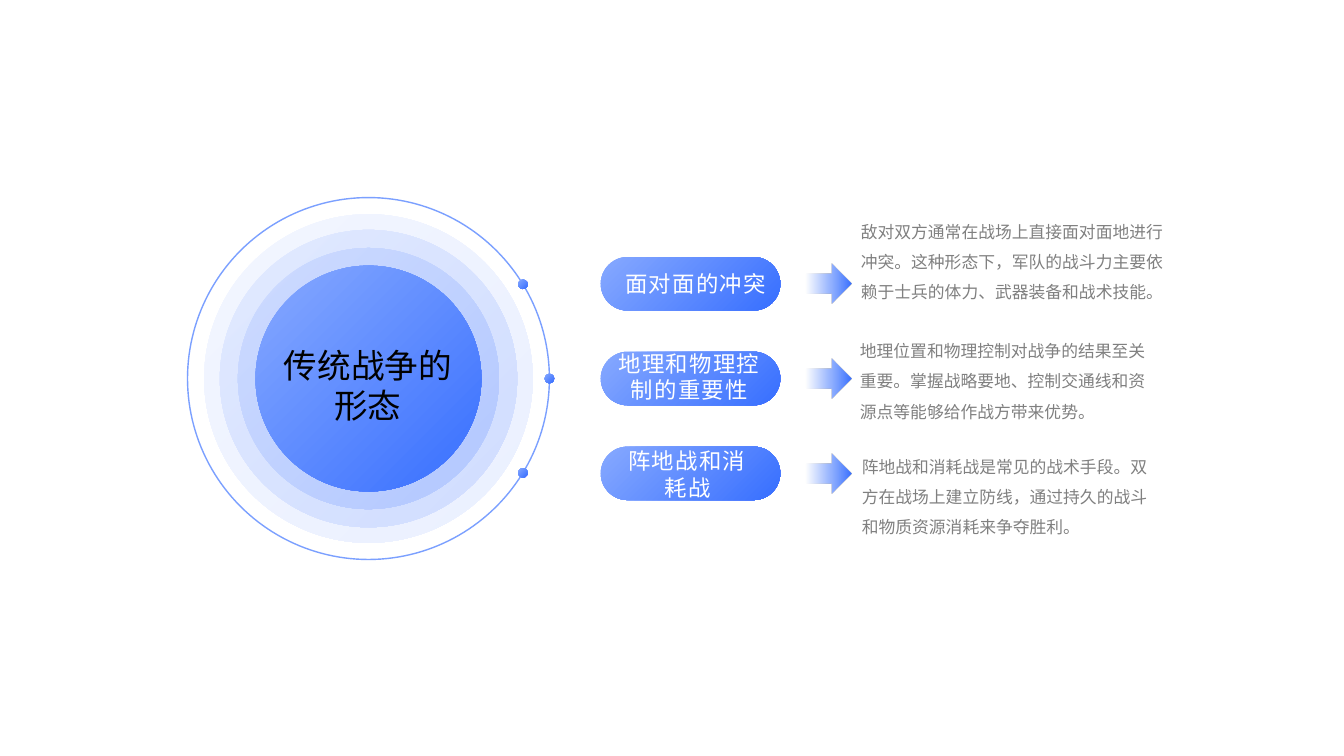
import math

from lxml import etree
from pptx import Presentation
from pptx.dml.color import RGBColor
from pptx.enum import shapes, text
from pptx.oxml import ns
from pptx.util import Pt

LIGHT, DEEP, WHITE, GREY, BLACK = "87A9FF", "376FFF", "FFFFFF", "808080", "000000"

# text and its box: left, top, width, height
TOPIC = ("传统战争的形态", (185, 242.6, 155.5, 94.3))
FORMS = [
    (("面对面的冲突", (430.6, 189.4, 132.5, 46)),
     ("敌对双方通常在战场上直接面对面地进行冲突。这种形态下，军队的战斗力主要依赖于士兵的体力、武器装备和战术技能。",
      (614.9, 151.2, 216.7, 91.4))),
    (("地理和物理控制的重要性", (428.4, 246.2, 128.2, 72.7)),
     ("地理位置和物理控制对战争的结果至关重要。掌握战略要地、控制交通线和资源点等能够给作战方带来优势。",
      (614.2, 236.2, 209.5, 65.5))),
    (("阵地战和消耗战", (436.3, 316.1, 109.4, 44.6)),
     ("阵地战和消耗战是常见的战术手段。双方在战场上建立防线，通过持久的战斗和物质资源消耗来争夺胜利。",
      (615.6, 319, 209.5, 65.5))),
]

CENTRE_X, CENTRE_Y = 263.2, 270.4
ORBIT = 258.5
DISCS = [(234.7, 10), (212.4, 15), (186.5, 20), (161.3, 100)]  # diameter, opacity
DOT, DOT_ANGLES = 6.8, (-31.4, 0, 31.4)
ROW_PITCH = 67.7
PILL_X, PILL_W, PILL_H = 493.2, 128.2, 38.2
ARROW_X, ARROW_W, ARROW_H = 591.5, 33.8, 28.8
ARROW_STOPS = [(3, LIGHT, 0), (50, LIGHT, 80), (100, DEEP, 100)]


def rgb(code):
    return RGBColor.from_string(code)


def set_alpha(colour, percent):
    etree.SubElement(colour, ns.qn("a:alpha"), val=str(percent * 1000))


def fill_gradient(shape, stops, angle):
    """Stops are (position %, colour, opacity %); the angle runs clockwise."""
    shape.fill.gradient()
    shape.fill.gradient_angle = (360 - angle) % 360
    stop_list = shape.element.spPr.find(".//" + ns.qn("a:gsLst"))
    for old in list(stop_list):
        stop_list.remove(old)
    for position, code, opacity in stops:
        stop = etree.SubElement(stop_list, ns.qn("a:gs"), pos=str(position * 1000))
        colour = etree.SubElement(stop, ns.qn("a:srgbClr"), val=code)
        if opacity < 100:
            set_alpha(colour, opacity)


def add_centred(kind, x, y, width, height):
    shape = slide.shapes.add_shape(
        kind, Pt(x - width / 2), Pt(y - height / 2), Pt(width), Pt(height))
    shape.shadow.inherit = False
    shape.line.fill.background()
    return shape


def add_blue(kind, x, y, width, height, opacity=100):
    shape = add_centred(kind, x, y, width, height)
    fill_gradient(shape, [(0, LIGHT, opacity), (100, DEEP, opacity)], 45)
    return shape


def write(box, words, font, size, colour, centred=True):
    frame = box.text_frame
    frame.word_wrap = True
    frame.auto_size = text.MSO_AUTO_SIZE.NONE
    frame.vertical_anchor = text.MSO_ANCHOR.TOP
    paragraph = frame.paragraphs[0]
    paragraph.alignment = text.PP_ALIGN.CENTER if centred else text.PP_ALIGN.LEFT
    run = paragraph.add_run()
    run.text = words
    run.font.name, run.font.size = font, Pt(size)
    run.font.color.rgb = rgb(colour)
    return frame, run


def add_label(words, place):
    box = slide.shapes.add_textbox(*map(Pt, place))
    _, run = write(box, words, "Cabin", 16, WHITE)
    run.font.element.set("spc", "100") if hasattr(run.font, "element") else \
        run.text and run._r.get_or_add_rPr().set("spc", "100")


def add_description(words, place):
    box = slide.shapes.add_textbox(*map(Pt, place))
    frame, _ = write(box, words, "Cabin", 12, GREY, centred=False)
    frame.margin_left = frame.margin_right = frame.margin_top = frame.margin_bottom = 0
    frame.paragraphs[0].line_spacing = 1.5


prs = Presentation()
prs.slide_width, prs.slide_height = Pt(960), Pt(540)
slide = prs.slides.add_slide(prs.slide_layouts[5])

for row, (label, description) in enumerate(FORMS):
    y = CENTRE_Y + (row - 1) * ROW_PITCH
    pill = add_blue(shapes.MSO_SHAPE.ROUNDED_RECTANGLE, PILL_X, y, PILL_W, PILL_H)
    pill.adjustments[0] = 0.5
    add_label(*label)
    arrow = add_centred(shapes.MSO_SHAPE.RIGHT_ARROW, ARROW_X, y, ARROW_W, ARROW_H)
    fill_gradient(arrow, ARROW_STOPS, 0)
    add_description(*description)

orbit = add_centred(shapes.MSO_SHAPE.OVAL, CENTRE_X, CENTRE_Y, ORBIT, ORBIT)
orbit.fill.background()
orbit.line.color.rgb = rgb(DEEP)
orbit.line.width = Pt(1)
set_alpha(orbit.element.spPr.find(".//" + ns.qn("a:ln")).find(".//" + ns.qn("a:srgbClr")), 65)

for diameter, opacity in DISCS:
    add_blue(shapes.MSO_SHAPE.OVAL, CENTRE_X, CENTRE_Y, diameter, diameter, opacity)

for angle in DOT_ANGLES:
    turn = math.radians(angle)
    add_blue(shapes.MSO_SHAPE.OVAL, CENTRE_X + ORBIT / 2 * math.cos(turn),
             CENTRE_Y + ORBIT / 2 * math.sin(turn), DOT, DOT)

title = slide.shapes.title
words, place = TOPIC
title.left, title.top, title.width, title.height = map(Pt, place)
write(title, words, "Arial", 24, BLACK)
title.element.getparent().append(title.element)  # in front of the discs

prs.save("out.pptx")
